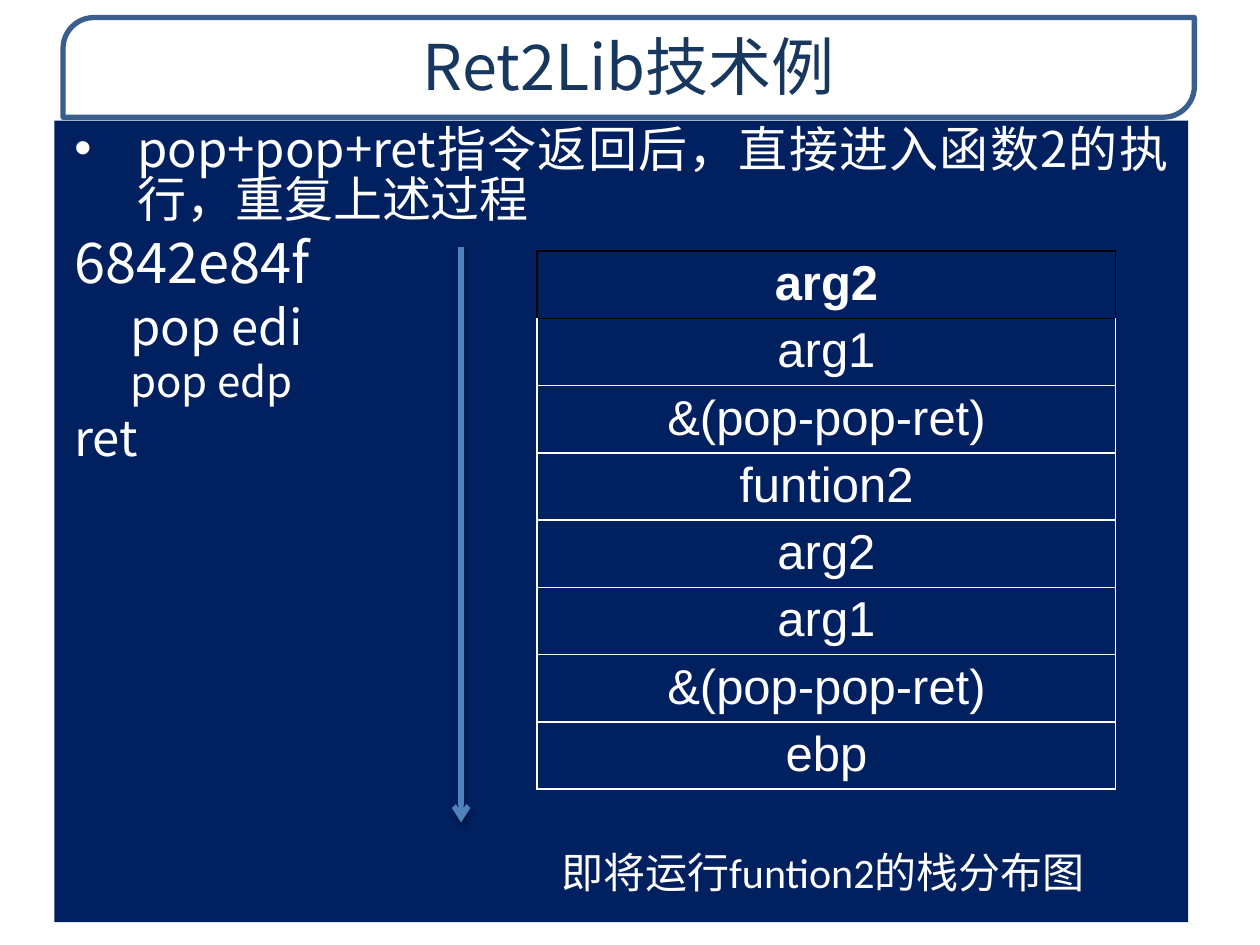
from lxml import etree
from pptx import Presentation
from pptx import util as u
from pptx.dml.color import RGBColor
from pptx.enum import shapes, text
from pptx.oxml import parse_xml
from pptx.oxml.ns import nsdecls, qn

Pt = u.Pt
NAVY, WHITE, BLACK = "002060", "FFFFFF", "000000"
CJK = "Noto Sans CJK SC"
STACK = ["arg2", "arg1", "&(pop-pop-ret)", "funtion2",
         "arg2", "arg1", "&(pop-pop-ret)", "ebp"]
# wording, size, left margin, has bullet
BODY = [
    ("pop+pop+ret指令返回后，直接进入函数2的执行，重复上述过程", 28, 36, True),
    ("6842e84f", 32, 36, False),
    ("pop edi", 28, 68, False),
    ("pop edp", 24, 68, False),
    ("ret", 28, 36, False),
]


def rgb(value):
    return RGBColor.from_string(value)


def paint(target, color):
    target.fill.solid()
    target.fill.fore_color.rgb = rgb(color)


def place(shape, box):
    for name, value in zip(("left", "top", "width", "height"), box):
        setattr(shape, name, Pt(value))


def write(paragraph, wording, size, color, font=CJK, align="CENTER", bold=False):
    run = paragraph.add_run()
    run.text = wording
    for name, value in {"size": Pt(size), "name": font, "bold": bold}.items():
        setattr(run.font, name, value)
    run.font.color.rgb = rgb(color)
    east_asian = etree.SubElement(run.font._element, qn("a:ea"))
    east_asian.set("typeface", CJK)
    paragraph.alignment = getattr(text.PP_ALIGN, align)


def add_title(slide, box):
    left, top, width, height = box
    frame = slide.shapes.add_shape(
        shapes.MSO_SHAPE.ROUND_2_DIAG_RECTANGLE,
        Pt(left), Pt(top), Pt(width), Pt(height))
    frame.adjustments[0] = 0.31
    frame.shadow.inherit = False
    paint(frame, WHITE)
    frame.line.color.rgb = rgb("3A5F8C")
    frame.line.width = Pt(3)
    title = slide.shapes.title
    title.element.addprevious(frame.element)
    place(title, (left, top, width, height - 2))
    write(title.text_frame.paragraphs[0], "Ret2Lib技术例", 36, "17375E")


def add_body(slide, box):
    body = slide.placeholders[1]
    place(body, box)
    paint(body, NAVY)
    frame = body.text_frame
    margins = {"margin_left": 11.5, "margin_right": 11.5,
               "margin_top": 3.6, "margin_bottom": 3.6}
    for name, value in margins.items():
        setattr(frame, name, Pt(value))
    frame.auto_size = text.MSO_AUTO_SIZE.NONE
    for index, (wording, size, margin, bullet) in enumerate(BODY):
        paragraph = frame.add_paragraph() if index else frame.paragraphs[0]
        write(paragraph, wording, size, WHITE, align="JUSTIFY")
        paragraph.level = 1 if margin > 36 else 0
        paragraph.line_spacing = 0.85
        properties = paragraph._p.get_or_add_pPr()
        properties.set("marL", str(Pt(margin)))
        properties.set("indent", str(Pt(-36)))
        if not bullet:
            etree.SubElement(properties, qn("a:buNone"))


def set_borders(cell, colors):
    """Colours run left, right, top, bottom."""
    properties = cell._tc.get_or_add_tcPr()
    for index, (side, color) in enumerate(zip("LRTB", colors)):
        properties.insert(index, parse_xml(
            f'<a:ln{side} {nsdecls("a")} w="{Pt(1)}"><a:solidFill>'
            f'<a:srgbClr val="{color}"/></a:solidFill></a:ln{side}>'))


def add_stack(slide, box):
    left, top, width, height = box
    table = slide.shapes.add_table(
        len(STACK), 1, Pt(left), Pt(top), Pt(width), Pt(height)).table
    for index, wording in enumerate(STACK):
        header = index == 0
        table.rows[index].height = Pt(height / len(STACK))
        cell = table.cell(index, 0)
        cell.margin_top = cell.margin_bottom = Pt(3)
        paint(cell, NAVY)
        edge = BLACK if header else WHITE
        set_borders(cell, (edge, edge, BLACK if index < 2 else WHITE, edge))
        write(cell.text_frame.paragraphs[0], wording, 28, WHITE, "Arial", bold=header)


def add_arrow(slide, x, top, bottom):
    arrow = slide.shapes.add_connector(
        shapes.MSO_CONNECTOR.STRAIGHT, Pt(x), Pt(top), Pt(x), Pt(bottom))
    arrow.line.color.rgb = rgb("4F81BD")
    arrow.line.width = Pt(3)
    etree.SubElement(arrow.line._get_or_add_ln(), qn("a:tailEnd")).set("type", "arrow")
    arrow.element.spPr.append(parse_xml(
        f'<a:effectLst {nsdecls("a")}><a:outerShdw blurRad="{Pt(3.1)}" '
        f'dist="{Pt(1.8)}" dir="5400000" rotWithShape="0"><a:srgbClr val="{BLACK}">'
        '<a:alpha val="35000"/></a:srgbClr></a:outerShdw></a:effectLst>'))


def add_caption(slide, box):
    caption = slide.shapes.add_shape(shapes.MSO_SHAPE.RECTANGLE, *map(Pt, box))
    caption.shadow.inherit = False
    paint(caption, NAVY)
    caption.line.fill.background()
    caption.text_frame.word_wrap = True
    caption.text_frame.vertical_anchor = text.MSO_ANCHOR.MIDDLE
    write(caption.text_frame.paragraphs[0], "即将运行funtion2的栈分布图",
          24, WHITE, "Calibri")


def main():
    presentation = Presentation()
    presentation.slide_width, presentation.slide_height = Pt(720), Pt(540)
    slide = presentation.slides.add_slide(presentation.slide_layouts[1])
    add_title(slide, (36, 10, 646.5, 57))
    add_body(slide, (31, 69, 648, 458))
    add_stack(slide, (307, 143.5, 330.5, 307.6))
    add_arrow(slide, 263.5, 141, 470)
    add_caption(slide, (297.5, 476, 345.5, 44))
    presentation.save("out.pptx")


if __name__ == "__main__":
    main()
